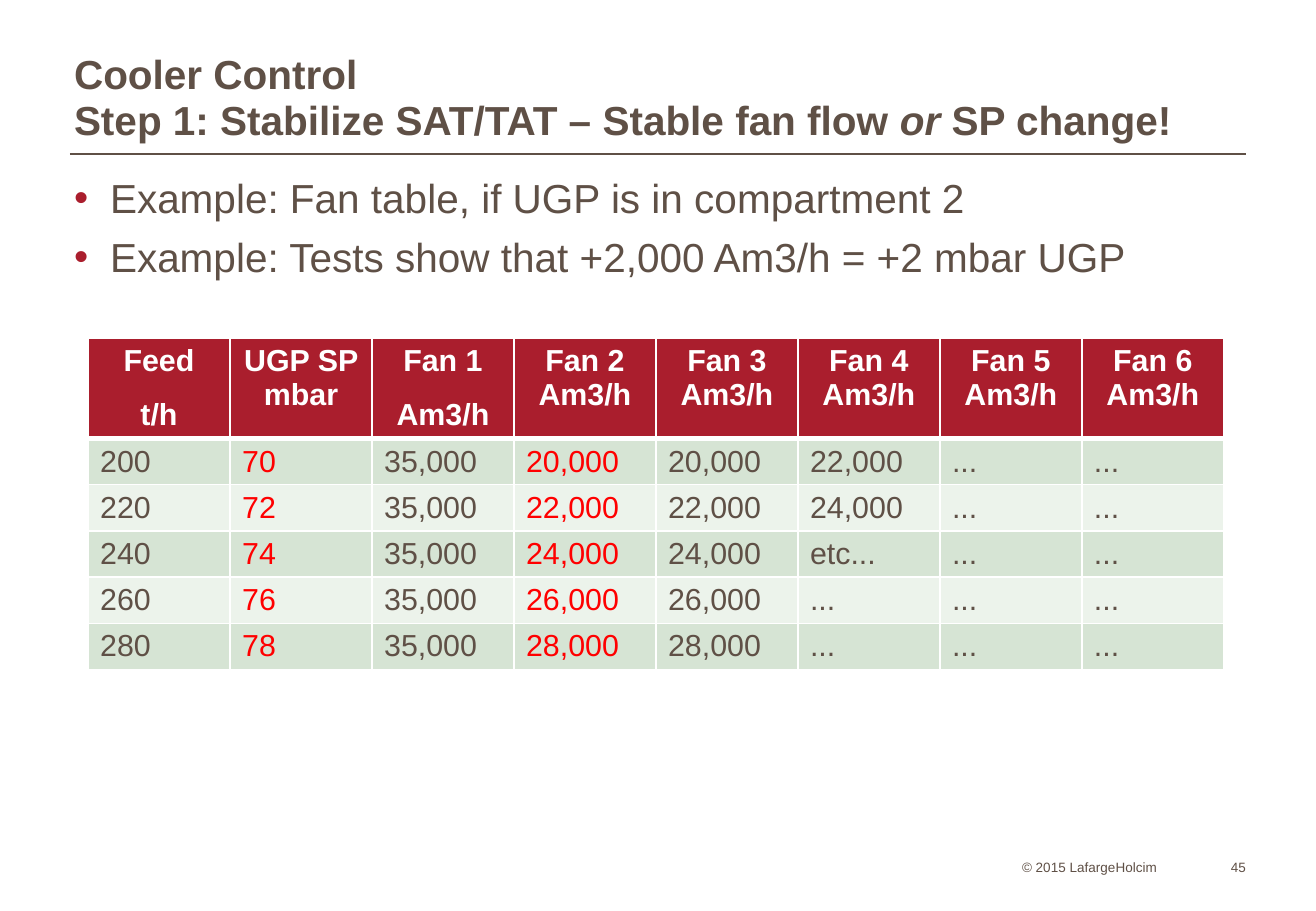
from lxml.etree import SubElement
from pptx import Presentation
from pptx.dml.color import RGBColor
from pptx.enum.shapes import MSO_CONNECTOR
from pptx.enum.text import MSO_ANCHOR, MSO_AUTO_SIZE, PP_ALIGN
from pptx.oxml import parse_xml
from pptx.oxml.ns import nsdecls, qn
from pptx.util import Emu, Pt

TITLE_LINES = [
    [("Cooler Control", False)],
    [("Step 1: Stabilize SAT/TAT – Stable fan flow ", False), ("or", True), (" SP change!", False)],
]
BULLETS = [
    "Example: Fan table, if UGP is in compartment 2",
    "Example: Tests show that +2,000 Am3/h = +2 mbar UGP",
]
# Each header is a list of paragraphs.
HEADERS = [["Feed", "t/h"], ["UGP SP mbar"], ["Fan 1", "Am3/h"]]
HEADERS += [[f"Fan {number} Am3/h"] for number in range(2, 7)]
FAN_ROWS = [
    ["200", "70", "35,000", "20,000", "20,000", "22,000", "...", "..."],
    ["220", "72", "35,000", "22,000", "22,000", "24,000", "...", "..."],
    ["240", "74", "35,000", "24,000", "24,000", "etc...", "...", "..."],
    ["260", "76", "35,000", "26,000", "26,000", "...", "...", "..."],
    ["280", "78", "35,000", "28,000", "28,000", "...", "...", "..."],
]
CHANGED_COLUMNS = (1, 3)
# text, left, width, alignment
FOOTERS = [
    ("© 2015 LafargeHolcim", 1022, 160, PP_ALIGN.LEFT),
    ("45", 1189, 57, PP_ALIGN.RIGHT),
]

FONT = "Arial"
BROWN, CRIMSON, RED, WHITE = "5F5046", "AA1E2D", "FF0000", "FFFFFF"
BANDS = ("D6E4D4", "ECF3EB")
SLIDE_WIDTH, SLIDE_HEIGHT = 1316, 911
TABLE_LEFT, TABLE_TOP = 88, 338
COLUMN_WIDTH, HEADER_HEIGHT, ROW_HEIGHT = 142, 100, 46
BULLET_INDENT = 36


def px(length):
    return Emu(round(length * 914400 / 121.5))


def color(value):
    return RGBColor.from_string(value)


def add_span(para, text, size, ink=BROWN, bold=False, italic=False):
    span = para.add_run()
    span.text = text
    font = span.font
    font.name, font.size, font.bold, font.italic = FONT, Pt(size), bold, italic
    font.color.rgb = color(ink)


def place(box, left, top, width, height, anchor):
    box.left, box.top, box.width, box.height = map(px, (left, top, width, height))
    frame = box.text_frame
    frame.margin_left = frame.margin_top = frame.margin_right = frame.margin_bottom = 0
    frame.word_wrap, frame.auto_size = True, MSO_AUTO_SIZE.NONE
    frame.vertical_anchor = anchor
    return frame


def next_para(frame, index):
    return frame.paragraphs[0] if index == 0 else frame.add_paragraph()


def add_bullet(para):
    properties = para._p.get_or_add_pPr()
    properties.set("marL", str(px(BULLET_INDENT)))
    properties.set("indent", str(-px(BULLET_INDENT)))
    bullet_color = SubElement(properties, qn("a:buClr"))
    SubElement(bullet_color, qn("a:srgbClr")).set("val", CRIMSON)
    SubElement(properties, qn("a:buFont")).set("typeface", FONT)
    SubElement(properties, qn("a:buChar")).set("char", "•")


def set_borders(cell, top=1, bottom=1):
    """Draw white cell borders; widths are in points."""
    properties = cell._tc.get_or_add_tcPr()
    for index, (side, width) in enumerate(zip("LRTB", (1, 1, top, bottom))):
        properties.insert(index, parse_xml(
            f'<a:ln{side} {nsdecls("a")} w="{Pt(width)}"><a:solidFill>'
            f'<a:srgbClr val="{WHITE}"/></a:solidFill></a:ln{side}>'))


def fill_cell(cell, paragraphs, fill, ink, header=False):
    cell.fill.solid()
    cell.fill.fore_color.rgb = color(fill)
    for index, text in enumerate(paragraphs):
        para = next_para(cell.text_frame, index)
        para.alignment = PP_ALIGN.CENTER if header else PP_ALIGN.LEFT
        para.space_before = Pt(12 if index else 0)
        add_span(para, text, 18, ink, bold=header)


def add_title(page):
    frame = place(page.shapes.title, 74, 40, 1166, 105, MSO_ANCHOR.BOTTOM)
    para = frame.paragraphs[0]
    para.alignment, para.line_spacing = PP_ALIGN.LEFT, 0.95
    for index, line in enumerate(TITLE_LINES):
        if index:
            para.add_line_break()
        for text, italic in line:
            add_span(para, text, 24, bold=True, italic=italic)


def add_rule(page):
    rule = page.shapes.add_connector(MSO_CONNECTOR.STRAIGHT, px(70), px(154), px(1246), px(154))
    rule.line.color.rgb = color(BROWN)
    rule.line.width = Pt(1)
    SubElement(rule._element.spPr, qn("a:effectLst"))


def add_bullets(page):
    frame = place(page.placeholders[1], 74, 173, 1168, 679, MSO_ANCHOR.TOP)
    for index, text in enumerate(BULLETS):
        para = next_para(frame, index)
        add_bullet(para)
        para.space_before = Pt(6 if index else 0)
        add_span(para, text, 24)


def add_fan_table(page):
    row_count, column_count = len(FAN_ROWS) + 1, len(HEADERS)
    table = page.shapes.add_table(
        row_count, column_count, px(TABLE_LEFT), px(TABLE_TOP),
        px(COLUMN_WIDTH * column_count), px(HEADER_HEIGHT + ROW_HEIGHT * len(FAN_ROWS))).table
    table.horz_banding = False
    for column in table.columns:
        column.width = px(COLUMN_WIDTH)
    for index, row in enumerate(table.rows):
        row.height = px(ROW_HEIGHT if index else HEADER_HEIGHT)
    for column, paragraphs in enumerate(HEADERS):
        cell = table.cell(0, column)
        fill_cell(cell, paragraphs, CRIMSON, WHITE, header=True)
        set_borders(cell, bottom=3)
    for row, values in enumerate(FAN_ROWS, start=1):
        for column, value in enumerate(values):
            cell = table.cell(row, column)
            ink = RED if column in CHANGED_COLUMNS else BROWN
            fill_cell(cell, [value], BANDS[(row - 1) % 2], ink)
            set_borders(cell, top=3 if row == 1 else 1)


def add_footers(page):
    for text, left, width, alignment in FOOTERS:
        box = page.shapes.add_textbox(0, 0, 0, 0)
        para = place(box, left, 853, width, 22, MSO_ANCHOR.BOTTOM).paragraphs[0]
        para.alignment = alignment
        add_span(para, text, 8)


def main():
    deck = Presentation()
    deck.slide_width, deck.slide_height = px(SLIDE_WIDTH), px(SLIDE_HEIGHT)
    page = deck.slides.add_slide(deck.slide_layouts[1])
    add_title(page)
    add_rule(page)
    add_bullets(page)
    add_fan_table(page)
    add_footers(page)
    deck.save("out.pptx")


if __name__ == "__main__":
    main()
